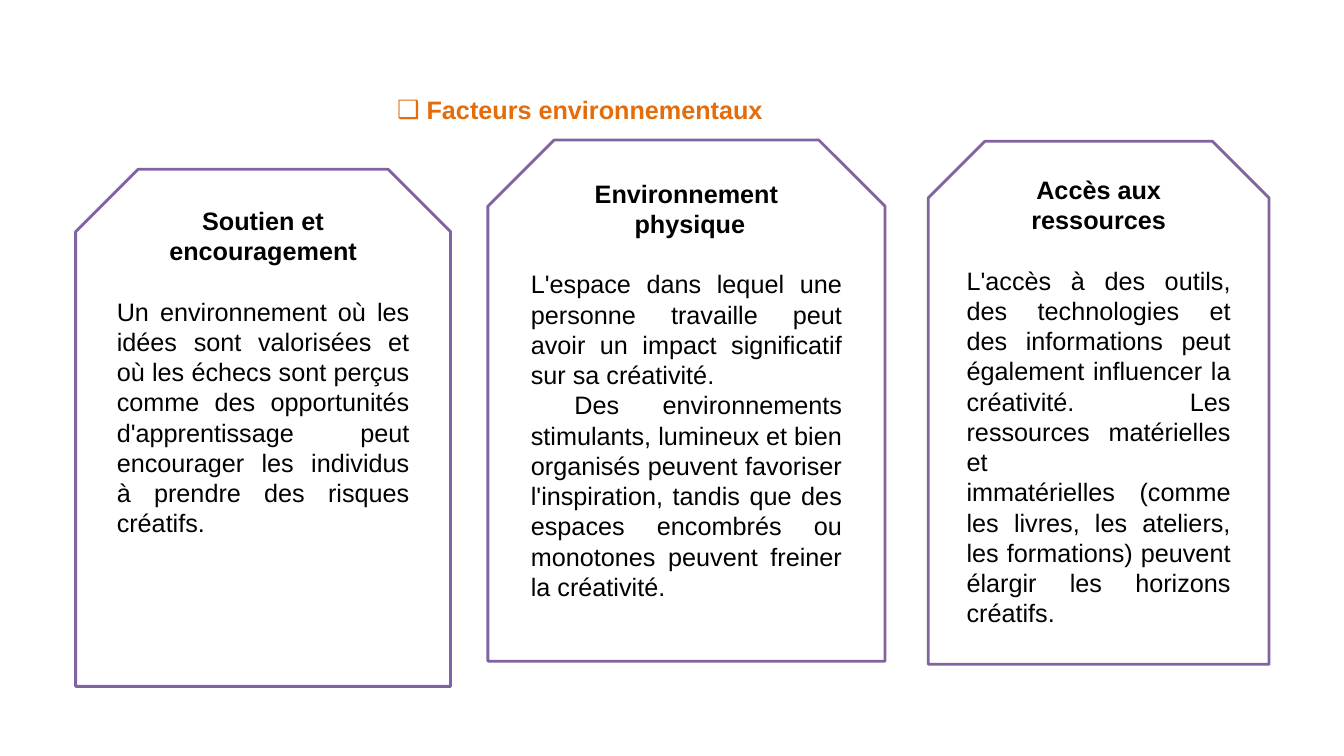
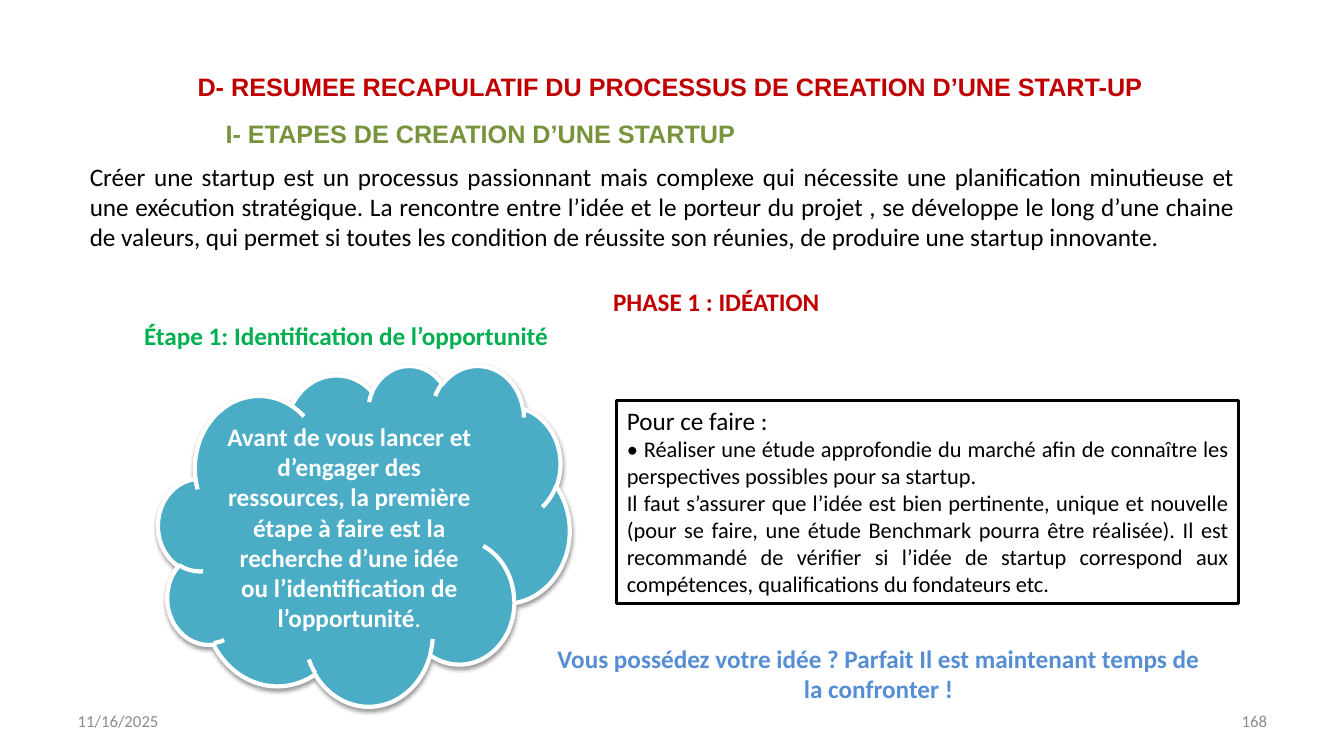
from lxml import etree
from pptx import Presentation
from pptx.dml.color import RGBColor
from pptx.enum.shapes import MSO_SHAPE
from pptx.enum.text import MSO_ANCHOR, MSO_AUTO_SIZE, PP_ALIGN
from pptx.oxml.ns import qn
from pptx.util import Inches, Pt

LEFT, MID, RIGHT, JUST = PP_ALIGN.LEFT, PP_ALIGN.CENTER, PP_ALIGN.RIGHT, PP_ALIGN.JUSTIFY
TOP, MIDDLE = MSO_ANCHOR.TOP, MSO_ANCHOR.MIDDLE
FIXED = MSO_AUTO_SIZE.NONE
SNIP, CLOUD, RECT = MSO_SHAPE.SNIP_2_SAME_RECTANGLE, MSO_SHAPE.CLOUD, MSO_SHAPE.RECTANGLE

BLACK = RGBColor(0x00, 0x00, 0x00)
WHITE = RGBColor(0xFF, 0xFF, 0xFF)
ORANGE = RGBColor(0xE4, 0x6C, 0x0A)
PURPLE = RGBColor(0x80, 0x64, 0xA2)
RED = RGBColor(0xC0, 0x00, 0x00)
OLIVE = RGBColor(0x77, 0x93, 0x3C)
GREEN = RGBColor(0x00, 0xB0, 0x50)
TEAL = RGBColor(0x4B, 0xAC, 0xC6)
BLUE = RGBColor(0x55, 0x8E, 0xD5)
GREY = RGBColor(0x8C, 0x8C, 0x8C)

WIDE, HIGH = Inches(13.33), Inches(7.5)
SANS, BODY = "Arial", "Calibri"
LINE = 5.33

CARDS = [
    ((5.63, 22.4, 27.9, 68.4), ["Soutien et encouragement"],
     ["Un environnement où les idées sont valorisées et où les échecs sont perçus comme des opportunités d'apprentissage peut encourager les individus à prendre des risques créatifs."]),
    ((36.3, 18.53, 29.55, 68.93), ["Environnement", " physique"],
     ["L'espace dans lequel une personne travaille peut avoir un impact significatif sur sa créativité.",
      " Des environnements stimulants, lumineux et bien organisés peuvent favoriser l'inspiration, tandis que des espaces encombrés ou monotones peuvent freiner la créativité."]),
    ((69.07, 18.67, 25.35, 69.2), ["Accès aux ressources"],
     ["L'accès à des outils, des technologies et des informations peut également influencer la créativité. Les ressources matérielles et\nimmatérielles (comme les livres, les ateliers, les formations) peuvent élargir les horizons créatifs."]),
]


def span(box):
    left, top, width, height = box
    return [int(part * side / 100) for part, side in
            ((left, WIDE), (top, HIGH), (width, WIDE), (height, HIGH))]


def move(shape, box):
    shape.left, shape.top, shape.width, shape.height = span(box)


def mark(para, sign=None, hang=0):
    props = para._p.get_or_add_pPr()
    props.set("marL", str(hang))
    props.set("indent", str(-hang))
    if sign:
        etree.SubElement(props, qn("a:buFont")).set("typeface", SANS)
        etree.SubElement(props, qn("a:buChar")).set("char", sign)
    else:
        etree.SubElement(props, qn("a:buNone"))


def style(para, font=BODY, size=18, color=BLACK, bold=False, align=LEFT):
    para.alignment = align
    para.space_before = Pt(0)
    for run in para.runs:
        face = run.font
        face.name, face.size, face.bold = font, Pt(size), bold
        face.color.rgb = color


def write(frame, items, wrap=True, anchor=TOP):
    frame.auto_size = FIXED
    frame.word_wrap = wrap
    frame.vertical_anchor = anchor
    for spot, (text, look) in enumerate(items):
        para = frame.add_paragraph() if spot else frame.paragraphs[0]
        para.text = text
        style(para, **look)
    return frame.paragraphs


def label(slide, box, text, wrap=True, anchor=TOP, **look):
    frame = slide.shapes.add_textbox(*span(box)).text_frame
    write(frame, [(text, look)], wrap, anchor)


def title(slide, box, text, color, wrap=True):
    move(slide.shapes.title, box)
    look = dict(font=SANS, color=color, bold=True)
    return write(slide.shapes.title.text_frame, [(text, look)], wrap)[0]


def panel(slide, kind, box, fill, edge, weight, items):
    shape = slide.shapes.add_shape(kind, *span(box))
    shape.shadow.inherit = False
    shape.fill.solid()
    shape.fill.fore_color.rgb = fill
    shape.line.color.rgb = edge
    shape.line.width = Pt(weight)
    write(shape.text_frame, items)
    return shape


def shade(shape):
    effects = shape._element.spPr.find(qn("a:effectLst"))
    outer = etree.SubElement(effects, qn("a:outerShdw"), blurRad=str(Pt(3.1)),
                             dist=str(Pt(1.6)), dir="5400000", rotWithShape="0")
    color = etree.SubElement(outer, qn("a:srgbClr"), val=str(BLACK))
    etree.SubElement(color, qn("a:alpha"), val="38000")


def card(slide, box, heads, texts):
    items = [(text, dict(font=SANS, bold=True, align=MID)) for text in heads]
    items += [(text, dict(font=SANS, align=JUST)) for text in texts]
    shape = panel(slide, SNIP, box, WHITE, PURPLE, 2, items)
    shape.text_frame.paragraphs[len(heads) - 1].space_after = Pt(21.5)


def factors(deck):
    slide = deck.slides.add_slide(deck.slide_layouts[5])
    para = title(slide, (28.8, 11.87, 28.95, LINE), " Facteurs environnementaux", ORANGE, False)
    mark(para, "❑", Inches(0.22))
    for box, heads, texts in CARDS:
        card(slide, box, heads, texts)


def intro(slide, box):
    body = slide.placeholders[1]
    move(body, box)
    para = write(body.text_frame, [(
        "Créer une startup est un processus passionnant mais complexe qui nécessite une planification minutieuse et une exécution stratégique. La rencontre entre l’idée et le porteur du projet , se développe le long d’une chaine de valeurs, qui permet si toutes les condition de réussite son réunies, de produire une startup innovante.",
        dict(align=JUST))])[0]
    mark(para)


def idea(slide, box):
    shape = panel(slide, CLOUD, box, TEAL, WHITE, 3, [(
        "Avant de vous lancer et d’engager des ressources, la première étape à faire est la recherche d’une idée ou l’identification de l’opportunité",
        dict(color=WHITE, bold=True, align=MID))])
    para = shape.text_frame.paragraphs[0]
    para.add_run().text = "."
    style(para, color=WHITE, bold=True, align=MID)
    para.runs[-1].font.bold = False
    shade(shape)


def advice(slide, box):
    small = dict(size=16, align=JUST)
    panel(slide, RECT, box, WHITE, BLACK, 2, [
        ("Pour ce faire :", {}),
        ("• Réaliser une étude approfondie du marché afin de connaître les perspectives possibles pour sa startup.", small),
        ("Il faut s’assurer que l’idée est bien pertinente, unique et nouvelle (pour se faire, une étude Benchmark pourra être réalisée). Il est recommandé de vérifier si l’idée de startup correspond aux compétences, qualifications du fondateurs etc.", small),
    ])


def footer(slide, date, number):
    for left, text, align in ((5.03, date, LEFT), (71.7, number, RIGHT)):
        label(slide, (left, 92.67, 23.33, LINE), text, anchor=MIDDLE,
              size=12, color=GREY, align=align)


def steps(deck):
    slide = deck.slides.add_slide(deck.slide_layouts[1])
    title(slide, (13.95, 8.8, 78.75, LINE),
          "D- RESUMEE RECAPULATIF DU PROCESSUS DE CREATION D’UNE START-UP", RED)
    label(slide, (16.05, 14.93, 40.28, LINE), "I- ETAPES DE CREATION D’UNE STARTUP",
          False, font=SANS, color=OLIVE, bold=True)
    intro(slide, (5.93, 20.67, 86.7, 13.47))
    label(slide, (44.78, 37.2, 17.03, LINE), "PHASE 1 : IDÉATION",
          False, color=RED, bold=True, align=MID)
    label(slide, (9.98, 41.73, 31.88, LINE), "Étape 1: Identification de l’opportunité",
          False, color=GREEN, bold=True)
    idea(slide, (11.78, 48.27, 30.6, 45.07))
    advice(slide, (45.9, 52.93, 46.28, 26.93))
    label(slide, (40.35, 84.4, 50.03, 9.47),
          "Vous possédez votre idée ? Parfait Il est maintenant temps de la confronter !",
          color=BLUE, bold=True, align=MID)
    footer(slide, "11/16/2025", "168")


def main():
    deck = Presentation()
    deck.slide_width, deck.slide_height = WIDE, HIGH
    factors(deck)
    steps(deck)
    deck.save("out.pptx")


if __name__ == "__main__":
    main()
